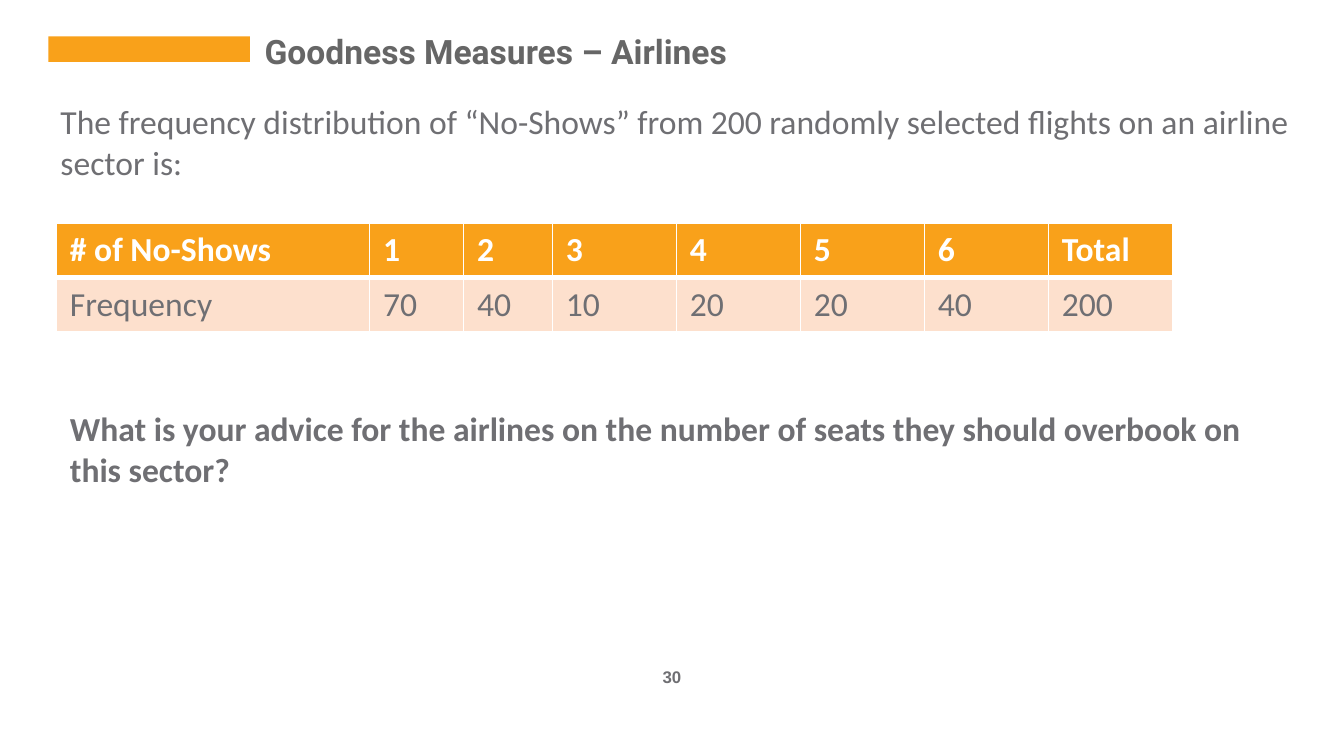
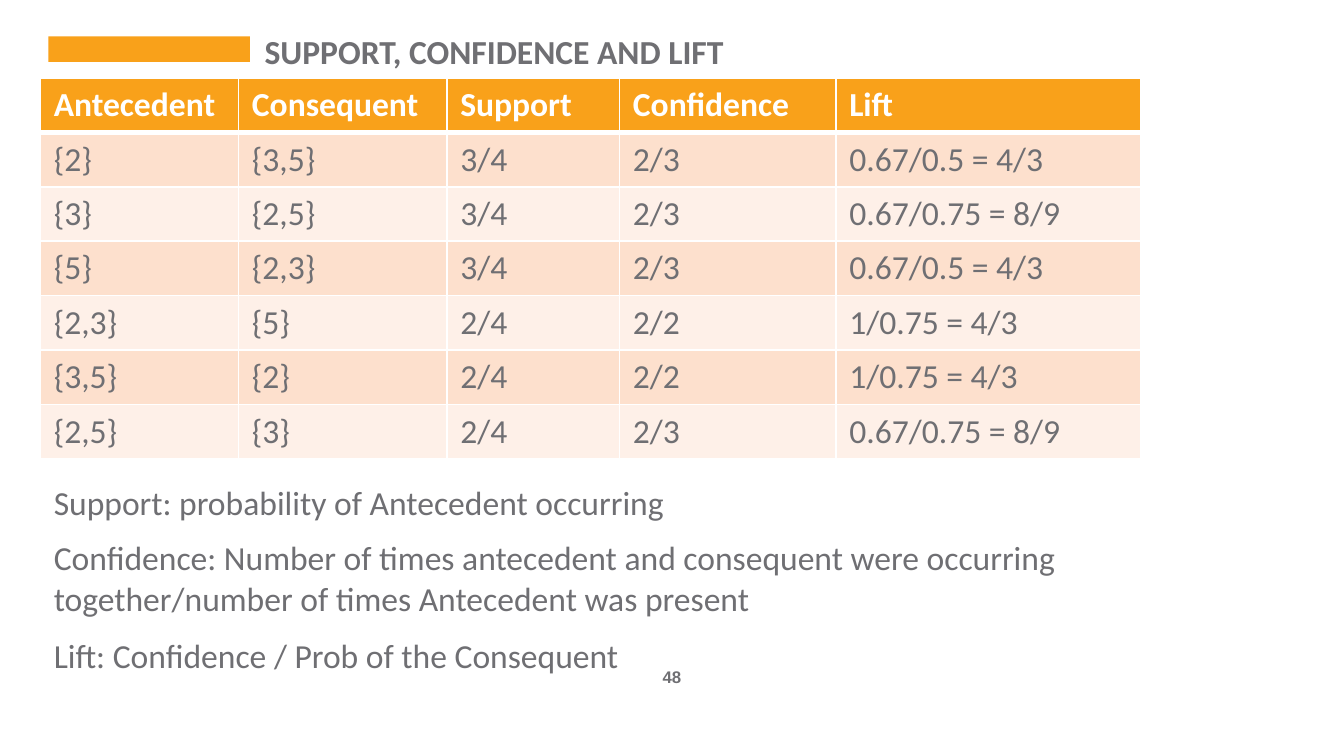
from lxml import etree
from pptx import Presentation
from pptx import util as u
from pptx.dml.color import RGBColor
from pptx.enum import shapes, text
from pptx.oxml.ns import qn

ORANGE = RGBColor(0xF9, 0xA1, 0x1A)
GRAY = RGBColor(0x6F, 0x6F, 0x73)
DARK = RGBColor(0x66, 0x66, 0x66)
WHITE = RGBColor(0xFF, 0xFF, 0xFF)
PEACH = RGBColor(0xFD, 0xE0, 0xCD)
PALE = RGBColor(0xFE, 0xF0, 0xE8)

COLS, ROWS = 100, 56.25
LINE = 4.05  # grid rows taken by one table row
NO_STYLE = "{2D5ABB26-0587-4C30-8999-92F81FD0307C}"


class Deck:
    """Holds the style and the current slide; lengths are grid columns and rows."""

    def __init__(self):
        self.show = Presentation()
        self.show.slide_width = u.Inches(10)
        self.show.slide_height = u.Inches(5.625)
        self.slide = None

    def wide(self, cols):
        return round(self.show.slide_width * cols / COLS)

    def high(self, rows):
        return round(self.show.slide_height * rows / ROWS)

    def box(self, left, top, width, height):
        return self.wide(left), self.high(top), self.wide(width), self.high(height)

    def page(self, title, number, font="Calibri", color=GRAY):
        """Start a slide with its band, title and page number."""
        self.slide = self.show.slides.add_slide(self.show.slide_layouts[6])
        self.band(3.6, 2.7, 15, 1.9)
        self.label(str(number), (42.5, 49.1, 15, 2.5), "Arial", 9, GRAY,
                   text.PP_ALIGN.CENTER)
        head = self.label(title, (18.7, 2.1, 75.9, 3.4), font, 18, color)
        head.vertical_anchor = text.MSO_ANCHOR.MIDDLE
        head.margin_top = head.margin_bottom = u.Inches(0.1)

    def band(self, *place):
        bar = self.slide.shapes.add_shape(
            shapes.MSO_SHAPE.RECTANGLE, *self.box(*place))
        bar.shadow.inherit = False
        bar.fill.solid()
        bar.fill.fore_color.rgb = ORANGE
        bar.line.fill.background()

    def label(self, words, place, font, size, color, align=text.PP_ALIGN.LEFT):
        frame = self.slide.shapes.add_textbox(*self.box(*place)).text_frame
        frame.word_wrap = True
        self.put(frame, words, font, size, color, True)
        frame.paragraphs[0].alignment = align
        return frame

    def put(self, frame, words, font, size, color, bold):
        """Set the words of a text frame and their style."""
        frame.text = words
        style = frame.paragraphs[0].font
        style.name, style.size, style.bold = font, u.Pt(size), bold
        style.color.rgb = color

    def grid(self, left, top, widths, heights):
        """Add an unstyled table."""
        place = self.box(left, top, sum(widths), sum(heights))
        frame = self.slide.shapes.add_table(len(heights), len(widths), *place)
        table = frame.table
        table.first_row = table.horz_banding = False
        frame._element.find(".//" + qn("a:tableStyleId")).text = NO_STYLE
        for col, width in zip(table.columns, widths):
            col.width = self.wide(width)
        for row, height in zip(table.rows, heights):
            row.height = self.high(height)
        return table

    def prose(self, left, top, width, heights, lines, bold=False):
        """Lay out lines of text in a plain one-column table."""
        table = self.grid(left, top, [width], heights)
        for row, words in enumerate(lines):
            self.put(table.cell(row, 0).text_frame, words, "Calibri", 18, GRAY, bold)

    def data(self, left, top, widths, rows):
        """Add a table with an orange head and banded rows."""
        table = self.grid(left, top, widths, [LINE] * len(rows))
        for i, row in enumerate(rows):
            head = i == 0
            fill = ORANGE if head else (PALE, PEACH)[i % 2]
            for j, words in enumerate(row):
                cell = table.cell(i, j)
                self.edge(cell, 3 if i == 1 else 1, 3 if head else 1)
                cell.fill.solid()
                cell.fill.fore_color.rgb = fill
                self.put(cell.text_frame, words, "Calibri", 18,
                         WHITE if head else GRAY, head)

    def edge(self, cell, top, bottom):
        """Draw white cell borders, with top and bottom widths in points."""
        props = cell._tc.get_or_add_tcPr()
        for side, width in {"L": 1, "R": 1, "T": top, "B": bottom}.items():
            line = etree.SubElement(props, qn("a:ln" + side), w=str(u.Pt(width)))
            fill = etree.SubElement(line, qn("a:solidFill"))
            etree.SubElement(fill, qn("a:srgbClr"), val=str(WHITE))


def main():
    deck = Deck()

    deck.page("Goodness Measures – Airlines", 30, "Roboto", DARK)
    deck.prose(3.5, 7.1, 93.6, [7], [
        "The frequency distribution of “No-Shows” from 200 randomly "
        "selected flights on an airline sector is:"])
    deck.data(4.2, 16.6, [23.3, 7, 6.6] + [9.23] * 5, [
        ["# of No-Shows", "1", "2", "3", "4", "5", "6", "Total"],
        ["Frequency", "70", "40", "10", "20", "20", "40", "200"]])
    deck.prose(4.2, 30, 90.4, [7] + [LINE] * 3, [
        "What is your advice for the airlines on the number of seats "
        "they should overbook on this sector?"], bold=True)

    deck.page("SUPPORT, CONFIDENCE AND LIFT", 48)
    deck.data(3, 5.8, [14.75, 15.5, 12.85, 16.1, 22.7], [
        ["Antecedent", "Consequent", "Support", "Confidence", "Lift"],
        ["{2}", "{3,5}", "3/4", "2/3", "0.67/0.5 = 4/3"],
        ["{3}", "{2,5}", "3/4", "2/3", "0.67/0.75 = 8/9"],
        ["{5}", "{2,3}", "3/4", "2/3", "0.67/0.5 = 4/3"],
        ["{2,3}", "{5}", "2/4", "2/2", "1/0.75 = 4/3"],
        ["{3,5}", "{2}", "2/4", "2/2", "1/0.75 = 4/3"],
        ["{2,5}", "{3}", "2/4", "2/3", "0.67/0.75 = 8/9"]])
    deck.prose(3, 35.5, 83.6, [LINE, 7.3, LINE], [
        "Support: probability of Antecedent occurring",
        "Confidence: Number of times antecedent and consequent were "
        "occurring together/number of times Antecedent was present",
        "Lift: Confidence / Prob of the Consequent"])

    deck.show.save("out.pptx")


if __name__ == "__main__":
    main()
